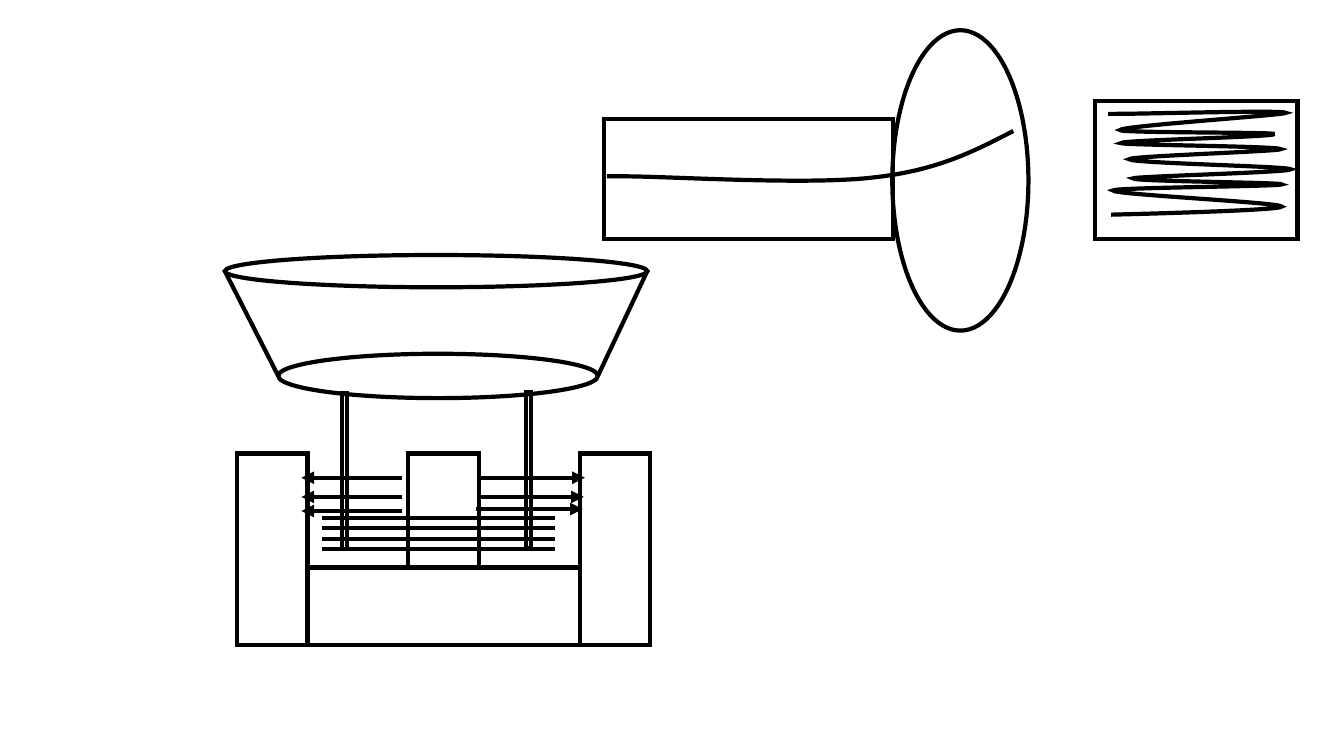
from typing import NamedTuple

from lxml.etree import SubElement
from pptx import Presentation
from pptx.dml.color import RGBColor
from pptx.enum.shapes import MSO_CONNECTOR as Connector, MSO_SHAPE as Preset
from pptx.oxml.ns import qn
from pptx.util import Inches, Pt

COLORS = {"ink": "000000"}
LINE_WIDTH = 3
COLUMNS, ROWS = 13.33, 7.5  # one grid cell is one inch square

Point = tuple[float, float]
Curve = tuple[Point, Point, Point]


class Outline(NamedTuple):
    """A hollow preset shape, in columns and rows."""
    preset: Preset
    left: float
    top: float
    width: float
    height: float


class Stroke(NamedTuple):
    """A straight line, in columns and rows."""
    start: Point
    end: Point
    arrow: bool = False


class Wire(NamedTuple):
    """An open curve: its frame corners, a short straight start, then curves."""
    top_left: Point
    bottom_right: Point
    start: Point
    bend: Point
    curves: list[Curve]


def cells(count: float) -> int:
    return Inches(count)


def style_line(shape) -> None:
    shape.line.color.rgb = RGBColor.from_string(COLORS["ink"])
    shape.line.width = Pt(LINE_WIDTH)
    SubElement(shape.line._get_or_add_ln(), qn("a:miter"), lim="800000")


def style_hollow(shape) -> None:
    shape.shadow.inherit = False
    shape.fill.background()
    style_line(shape)


def draw_outline(shapes, outline: Outline) -> None:
    style_hollow(shapes.add_shape(outline.preset, *map(cells, outline[1:])))


def draw_stroke(shapes, stroke: Stroke) -> None:
    connector = shapes.add_connector(
        Connector.STRAIGHT, *map(cells, stroke.start + stroke.end))
    style_line(connector)
    if stroke.arrow:
        SubElement(connector.line._get_or_add_ln(), qn("a:tailEnd"), type="triangle")
    SubElement(connector._element.spPr, qn("a:effectLst"))


def draw_wire(shapes, wire: Wire) -> None:
    # A diagonal sets the frame; the curve segments then take its place
    builder = shapes.build_freeform(*map(cells, wire.top_left))
    builder.add_line_segments([tuple(map(cells, wire.bottom_right))], close=False)
    shape = builder.convert_to_shape()
    outline = shape._element.find(".//" + qn("a:path"))
    for segment in list(outline):
        outline.remove(segment)

    left, top = wire.top_left
    segments = [("a:moveTo", [wire.start]), ("a:lnTo", [wire.bend])]
    segments += [("a:cubicBezTo", curve) for curve in wire.curves]
    for tag, points in segments:
        segment = SubElement(outline, qn(tag))
        for x, y in points:
            SubElement(segment, qn("a:pt"), x=str(cells(x - left)), y=str(cells(y - top)))
    style_hollow(shape)


# Side view: tube, cone and coil box
SIDE_VIEW = [
    Outline(Preset.RECTANGLE, 5.99, 1.18, 2.87, 1.19),
    Outline(Preset.OVAL, 8.85, 0.3, 1.35, 2.98),
    Outline(Preset.RECTANGLE, 10.86, 1, 2.01, 1.37),
    Wire((6.02, 1.3), (10.04, 1.8), (6.02, 1.75), (6.19, 1.75), [
        ((6.63, 1.75), (8.02, 1.84), (8.67, 1.76)),
        ((9.31, 1.69), (9.68, 1.49), (10.05, 1.3)),
    ]),
    Wire((10.99, 1.11), (12.8, 2.13), (10.99, 1.13), (11.07, 1.13), [
        ((11.37, 1.13), (12.74, 1.09), (12.75, 1.12)),
        ((12.76, 1.14), (11.12, 1.25), (11.11, 1.29)),
        ((11.09, 1.32), (12.64, 1.31), (12.64, 1.33)),
        ((12.64, 1.36), (11.11, 1.39), (11.12, 1.42)),
        ((11.13, 1.44), (12.69, 1.45), (12.7, 1.48)),
        ((12.72, 1.5), (11.19, 1.55), (11.2, 1.58)),
        ((11.22, 1.62), (12.79, 1.65), (12.8, 1.68)),
        ((12.8, 1.71), (11.25, 1.75), (11.24, 1.77)),
        ((11.22, 1.8), (12.75, 1.81), (12.71, 1.83)),
        ((12.68, 1.85), (11.04, 1.86), (11.04, 1.89)),
        ((11.04, 1.93), (12.72, 2.01), (12.71, 2.05)),
        ((12.71, 2.09), (11.02, 2.13), (11.02, 2.13)),
    ]),
]

# Front view: magnet, coil windings, supports, cone and field arrows
POLE_TOP, POLE_WIDTH = 4.5, 0.7
FRONT_VIEW = [
    Outline(Preset.RECTANGLE, 2.35, POLE_TOP, POLE_WIDTH, 1.9),
    Outline(Preset.RECTANGLE, 3.05, 5.63, 2.7, 0.77),
    Outline(Preset.RECTANGLE, 5.75, POLE_TOP, POLE_WIDTH, 1.9),
    Outline(Preset.RECTANGLE, 4.05, POLE_TOP, POLE_WIDTH, 1.13),
    *(Stroke((3.19, row), (5.5, row)) for row in (5.45, 5.24, 5.14, 5.35)),
    Outline(Preset.RECTANGLE, 3.39, 3.9, 0.05, 1.55),
    Outline(Preset.RECTANGLE, 5.22, 3.89, 0.05, 1.55),
    Outline(Preset.OVAL, 2.76, 3.51, 3.17, 0.44),
    Outline(Preset.OVAL, 2.23, 2.53, 4.19, 0.32),
    Stroke((2.23, 2.69), (2.76, 3.73)),
    Stroke((6.42, 2.69), (5.93, 3.73)),
    Stroke((4.75, 4.74), (5.8, 4.74), arrow=True),
    *(Stroke((3.99, row), (2.99, row), arrow=True) for row in (4.74, 4.93, 5.07)),
    Stroke((4.74, 4.93), (5.79, 4.93), arrow=True),
    Stroke((4.72, 5.05), (5.78, 5.05), arrow=True),
]

DRAW = {Outline: draw_outline, Stroke: draw_stroke, Wire: draw_wire}


def draw_parts(shapes, parts: list[Outline | Stroke | Wire]) -> None:
    for part in parts:
        DRAW[type(part)](shapes, part)


def main() -> None:
    presentation = Presentation()
    presentation.slide_width, presentation.slide_height = cells(COLUMNS), cells(ROWS)
    slide = presentation.slides.add_slide(presentation.slide_layouts[6])
    draw_parts(slide.shapes.add_group_shape().shapes, SIDE_VIEW)
    draw_parts(slide.shapes, FRONT_VIEW)
    presentation.save("out.pptx")


if __name__ == "__main__":
    main()
